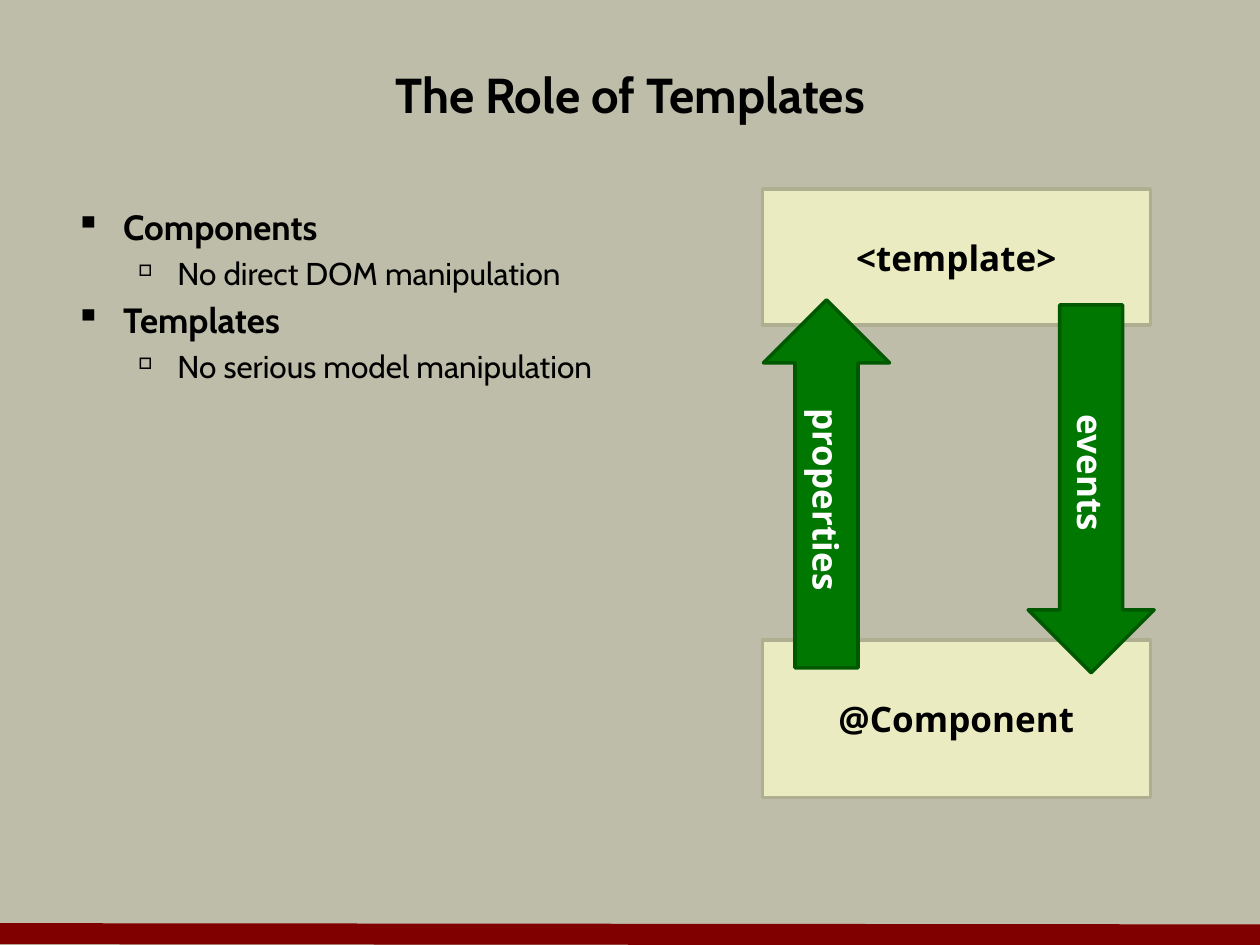
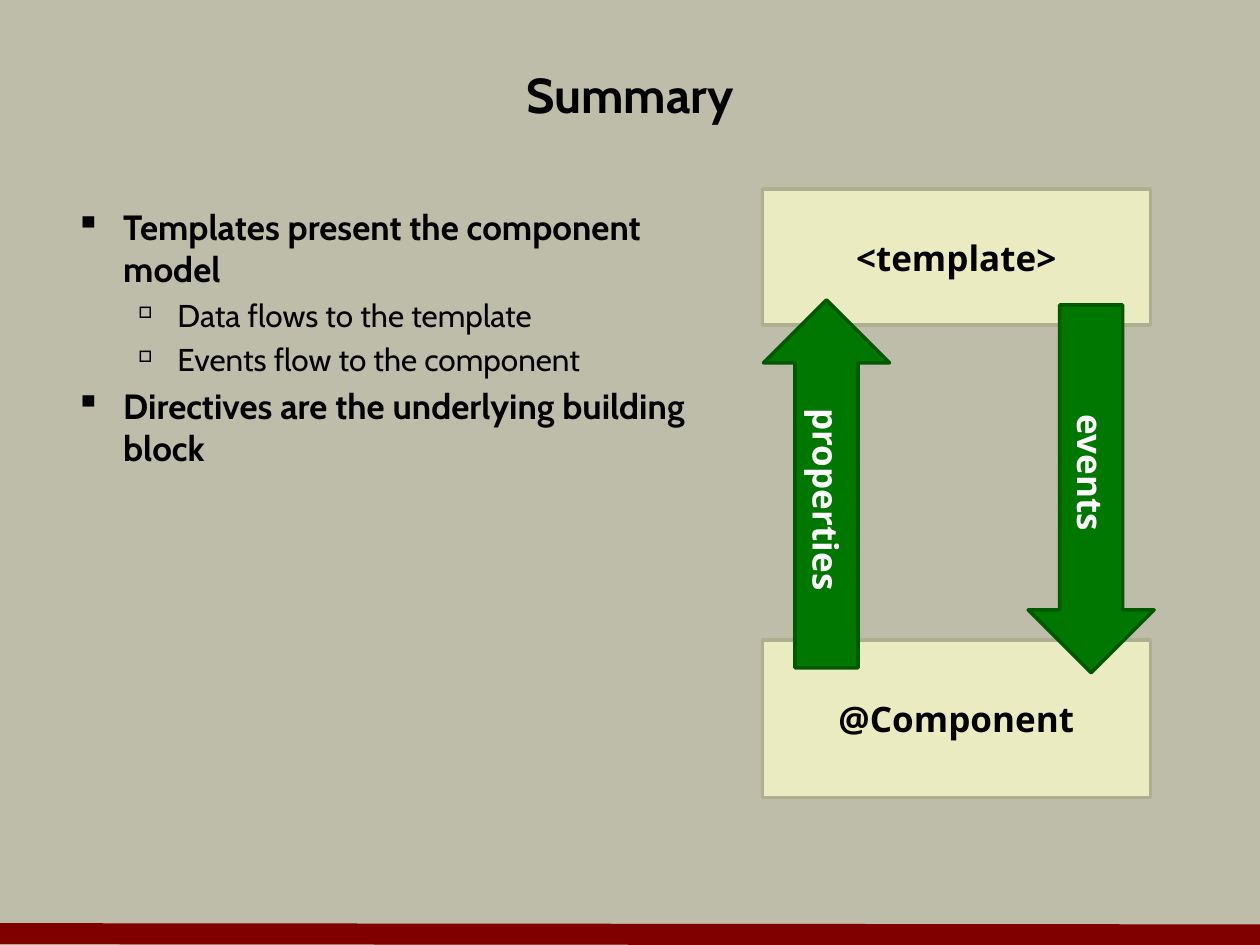
from dataclasses import dataclass

from lxml.etree import SubElement
from pptx import Presentation
from pptx.dml.color import RGBColor as Rgb
from pptx.enum.shapes import MSO_CONNECTOR as Link, MSO_SHAPE as Kind
from pptx.enum.text import MSO_ANCHOR as Anchor, PP_ALIGN as Align
from pptx.oxml.ns import qn
from pptx.slide import Slide
from pptx.util import Inches, Pt


@dataclass(frozen=True)
class Theme:
    """Colours, fonts and type sizes of the deck."""
    back: str = "BDBDA9"
    band: str = "800000"
    ink: str = "000000"
    light: str = "FFFFFF"
    box: str = "EBEBC2"
    box_edge: str = "AEAE90"
    arrow: str = "007700"
    arrow_edge: str = "005800"
    text_font: str = "Cabin"
    shape_font: str = "Open Sans"
    title_size: int = 28
    label_size: int = 20
    edge_width: int = 2
    band_width: int = 12


@dataclass(frozen=True)
class Level:
    """Look of one list level; lengths in inches."""
    mark: str
    mark_size: int
    left: float
    hang: float
    size: int
    bold: bool


@dataclass(frozen=True)
class Node:
    """A labelled shape of the data flow diagram."""
    label: str
    kind: Kind
    at: tuple[float, float, float, float]
    fill: str
    edge: str
    ink: str
    turn: int = 0
    flow: str = "horz"


@dataclass(frozen=True)
class Page:
    """Title, list items as (level, text), and list width."""
    title: str
    items: tuple[tuple[int, str], ...]
    width: float


THEME = Theme()
LEVELS = (
    Level("▪", 100, 0.38, 0.38, 20, True),
    Level("□", 50, 0.81, 0.31, 18, False),
)
BOX = (Kind.RECTANGLE,)
BOX_LOOK = (THEME.box, THEME.box_edge, THEME.ink)
ARROW_LOOK = (THEME.arrow, THEME.arrow_edge, THEME.light)
NODES = (
    Node("<template>", Kind.RECTANGLE, (6.05, 1.5, 3.08, 1.08), *BOX_LOOK),
    Node("@Component", Kind.RECTANGLE, (6.05, 5.08, 3.08, 1.25), *BOX_LOOK),
    Node("properties", Kind.UP_ARROW, (6.06, 2.38, 1, 2.92), *ARROW_LOOK,
         flow="vert"),
    Node("events", Kind.UP_ARROW, (8.16, 2.42, 1, 2.92), *ARROW_LOOK,
         turn=180, flow="vert270"),
)
PAGES = (
    Page("The Role of Templates", (
        (0, "Components"),
        (1, "No direct DOM manipulation"),
        (0, "Templates"),
        (1, "No serious model manipulation"),
    ), 9),
    Page("Summary", (
        (0, "Templates present the component model"),
        (1, "Data flows to the template"),
        (1, "Events flow to the component"),
        (0, "Directives are the underlying building block"),
    ), 5.33),
)


def set_font(para, name: str, size: int, ink: str, bold: bool) -> None:
    """Set the font of a whole paragraph."""
    font = para.font
    font.name, font.size, font.bold = name, Pt(size), bold
    font.color.rgb = Rgb.from_string(ink)


def add_base(slide: Slide) -> None:
    """Paint the background and the band at the foot."""
    fill = slide.background.fill
    fill.solid()
    fill.fore_color.rgb = Rgb.from_string(THEME.back)
    band = slide.shapes.add_connector(
        Link.STRAIGHT, Inches(0), Inches(7.41), Inches(10), Inches(7.42))
    band.line.color.rgb = Rgb.from_string(THEME.band)
    band.line.width = Pt(THEME.band_width)
    SubElement(band.element.spPr, qn("a:effectLst"))


def add_title(slide: Slide, text: str) -> None:
    """Add the centred title."""
    box = slide.shapes.add_textbox(*map(Inches, (0.5, 0.33, 9, 0.83)))
    frame = box.text_frame
    frame.word_wrap, frame.vertical_anchor = True, Anchor.MIDDLE
    para = frame.paragraphs[0]
    para.text, para.alignment = text, Align.CENTER
    set_font(para, THEME.text_font, THEME.title_size, THEME.ink, True)


def add_list(slide: Slide, page: Page) -> None:
    """Add the two-level list."""
    box = slide.shapes.add_textbox(*map(Inches, (0.5, 1.58, page.width, 4.92)))
    frame = box.text_frame
    frame.word_wrap = True
    for i, (depth, text) in enumerate(page.items):
        para = frame.add_paragraph() if i else frame.paragraphs[0]
        level = LEVELS[depth]
        para.text, para.level = text, depth
        props = para._p.get_or_add_pPr()
        props.set("marL", str(Inches(level.left)))
        props.set("indent", str(-Inches(level.hang)))
        SubElement(props, qn("a:buSzPct"), val=str(level.mark_size * 1000))
        SubElement(props, qn("a:buChar"), char=level.mark)
        para.space_before = Pt(0.2 * level.size)
        set_font(para, THEME.text_font, level.size, THEME.ink, level.bold)


def add_node(slide: Slide, node: Node) -> None:
    """Add one labelled shape of the diagram."""
    shape = slide.shapes.add_shape(node.kind, *map(Inches, node.at))
    shape.rotation = node.turn
    shape.shadow.inherit = False
    shape.fill.solid()
    shape.fill.fore_color.rgb = Rgb.from_string(node.fill)
    shape.line.color.rgb = Rgb.from_string(node.edge)
    shape.line.width = Pt(THEME.edge_width)
    frame = shape.text_frame
    frame.word_wrap, frame.vertical_anchor = False, Anchor.MIDDLE
    shape.element.txBody.bodyPr.set("vert", node.flow)
    para = frame.paragraphs[0]
    para.text, para.alignment = node.label, Align.CENTER
    set_font(para, THEME.shape_font, THEME.label_size, node.ink, True)


def main() -> None:
    """Build and save the deck."""
    deck = Presentation()
    deck.slide_width, deck.slide_height = Inches(10), Inches(7.5)
    blank = deck.slide_layouts[6]
    for page in PAGES:
        slide = deck.slides.add_slide(blank)
        add_base(slide)
        add_title(slide, page.title)
        add_list(slide, page)
        for node in NODES:
            add_node(slide, node)
    deck.save("out.pptx")


main()
